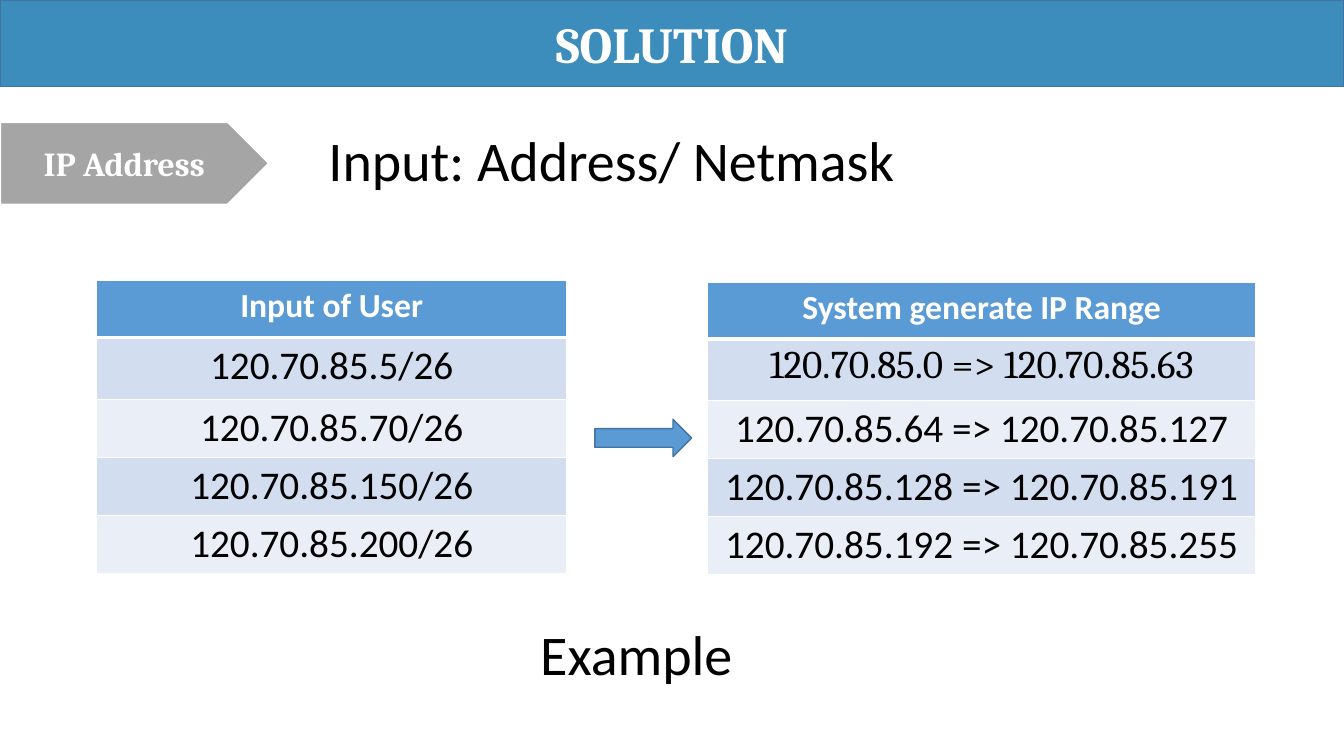
from lxml import etree
from pptx import Presentation
from pptx.dml.color import RGBColor
from pptx.enum.shapes import MSO_SHAPE as Preset
from pptx.enum.text import MSO_ANCHOR as Anchor, MSO_AUTO_SIZE as AutoSize, PP_ALIGN as Align
from pptx.oxml.ns import qn
from pptx.util import Inches, Pt

THEME = {
    "blue": "5B9BD5", "title_blue": "3C8DBC", "outline": "43739E", "gray": "A5A5A5",
    "white": "FFFFFF", "black": "000000", "bands": ("D2DEEF", "EAEFF7"),
    "body_font": "Calibri", "heading_font": "Cambria",
    "title": 36, "label": 24, "header": 24, "cell": 28, "caption": 40,
}

WHITE_HEADING = {"name": THEME["heading_font"], "color": THEME["white"], "bold": True}
TITLE_FORMAT = {**WHITE_HEADING, "size": THEME["title"]}
LABEL_FORMAT = {**WHITE_HEADING, "size": THEME["label"]}
CELL_FORMAT = {"name": THEME["body_font"], "size": THEME["cell"],
               "color": THEME["black"], "bold": False}
HEADER_FORMAT = {"name": THEME["body_font"], "size": THEME["header"],
                 "color": THEME["white"], "bold": True}
CAPTION_FORMAT = {**CELL_FORMAT, "size": THEME["caption"]}

SHAPES = [
    (Preset.RECTANGLE, (0, 0, 13.33, 0.86), THEME["title_blue"], THEME["outline"], 1,
     "SOLUTION", TITLE_FORMAT),
    (Preset.PENTAGON, (0, 1.21, 2.67, 0.82), THEME["gray"], THEME["white"], 1.5,
     "IP Address", LABEL_FORMAT),
    (Preset.RIGHT_ARROW, (5.9, 4.16, 0.96, 0.37), THEME["blue"], THEME["outline"], 1, "", {}),
]

TABLES = [
    {"place": (0.96, 2.78, 4.66), "header": "Input of User", "heights": (0.57, 0.61, 0.57),
     "first_font": THEME["body_font"],
     "rows": ["120.70.85.5/26", "120.70.85.70/26", "120.70.85.150/26", "120.70.85.200/26"]},
    {"place": (7.02, 2.8, 5.43), "header": "System generate IP Range",
     "heights": (0.56, 0.61, 0.56), "first_font": THEME["heading_font"],
     "rows": ["120.70.85.0 => 120.70.85.63", "120.70.85.64 => 120.70.85.127",
              "120.70.85.128 => 120.70.85.191", "120.70.85.192 => 120.70.85.255"]},
]

CAPTIONS = [
    ("Example", (5.26, 6.1, 2.24, 0.77)),
    ("Input: Address/ Netmask", (3.16, 1.2, 6.43, 0.77)),
]


def write_text(frame, text, format_values, alignment):
    paragraph = frame.paragraphs[0]
    paragraph.alignment = alignment
    run = paragraph.add_run()
    run.text = text
    for name, value in format_values.items():
        if name == "color":
            run.font.color.rgb = RGBColor.from_string(value)
        else:
            setattr(run.font, name, Pt(value) if name == "size" else value)


def fill_with(target, color):
    target.fill.solid()
    target.fill.fore_color.rgb = RGBColor.from_string(color)


def add_borders(cell, bottom_width):
    properties = cell._tc.get_or_add_tcPr()
    widths = {"lnL": 1, "lnR": 1, "lnT": 1, "lnB": bottom_width}
    for position, (side, width) in enumerate(widths.items()):
        line = etree.Element(qn(f"a:{side}"), w=str(Pt(width)))
        fill = etree.SubElement(line, qn("a:solidFill"))
        etree.SubElement(fill, qn("a:srgbClr"), val=THEME["white"])
        properties.insert(position, line)


def add_preset(slide, preset, box, fill, outline, width, text, format_values):
    shape = slide.shapes.add_shape(preset, *map(Inches, box))
    shape.shadow.inherit = False
    fill_with(shape, fill)
    shape.line.color.rgb = RGBColor.from_string(outline)
    shape.line.width = Pt(width)
    if text:
        shape.text_frame.vertical_anchor = Anchor.MIDDLE
        write_text(shape.text_frame, text, format_values, Align.CENTER)


def add_address_table(slide, content):
    left, top, width = content["place"]
    header_height, first_height, row_height = content["heights"]
    texts = [content["header"], *content["rows"]]
    heights = [header_height, first_height] + [row_height] * (len(texts) - 2)
    box = (left, top, width, sum(heights))
    table = slide.shapes.add_table(len(texts), 1, *map(Inches, box)).table
    for index, (text, height) in enumerate(zip(texts, heights)):
        table.rows[index].height = Inches(height)
        cell = table.cell(index, 0)
        is_header = index == 0
        format_values = dict(HEADER_FORMAT if is_header else CELL_FORMAT)
        if index == 1:
            format_values["name"] = content["first_font"]
        fill_with(cell, THEME["blue"] if is_header else THEME["bands"][(index - 1) % 2])
        add_borders(cell, 3 if is_header else 1)
        write_text(cell.text_frame, text, format_values, Align.CENTER)


def add_caption(slide, text, box):
    frame = slide.shapes.add_textbox(*map(Inches, box)).text_frame
    frame.word_wrap = True
    frame.auto_size = AutoSize.SHAPE_TO_FIT_TEXT
    write_text(frame, text, CAPTION_FORMAT, Align.LEFT)


def main():
    presentation = Presentation()
    presentation.slide_width = Inches(13.33)
    presentation.slide_height = Inches(7.5)
    slide = presentation.slides.add_slide(presentation.slide_layouts[6])
    for details in SHAPES:
        add_preset(slide, *details)
    for content in TABLES:
        add_address_table(slide, content)
    for text, box in CAPTIONS:
        add_caption(slide, text, box)
    presentation.save("out.pptx")


if __name__ == "__main__":
    main()
